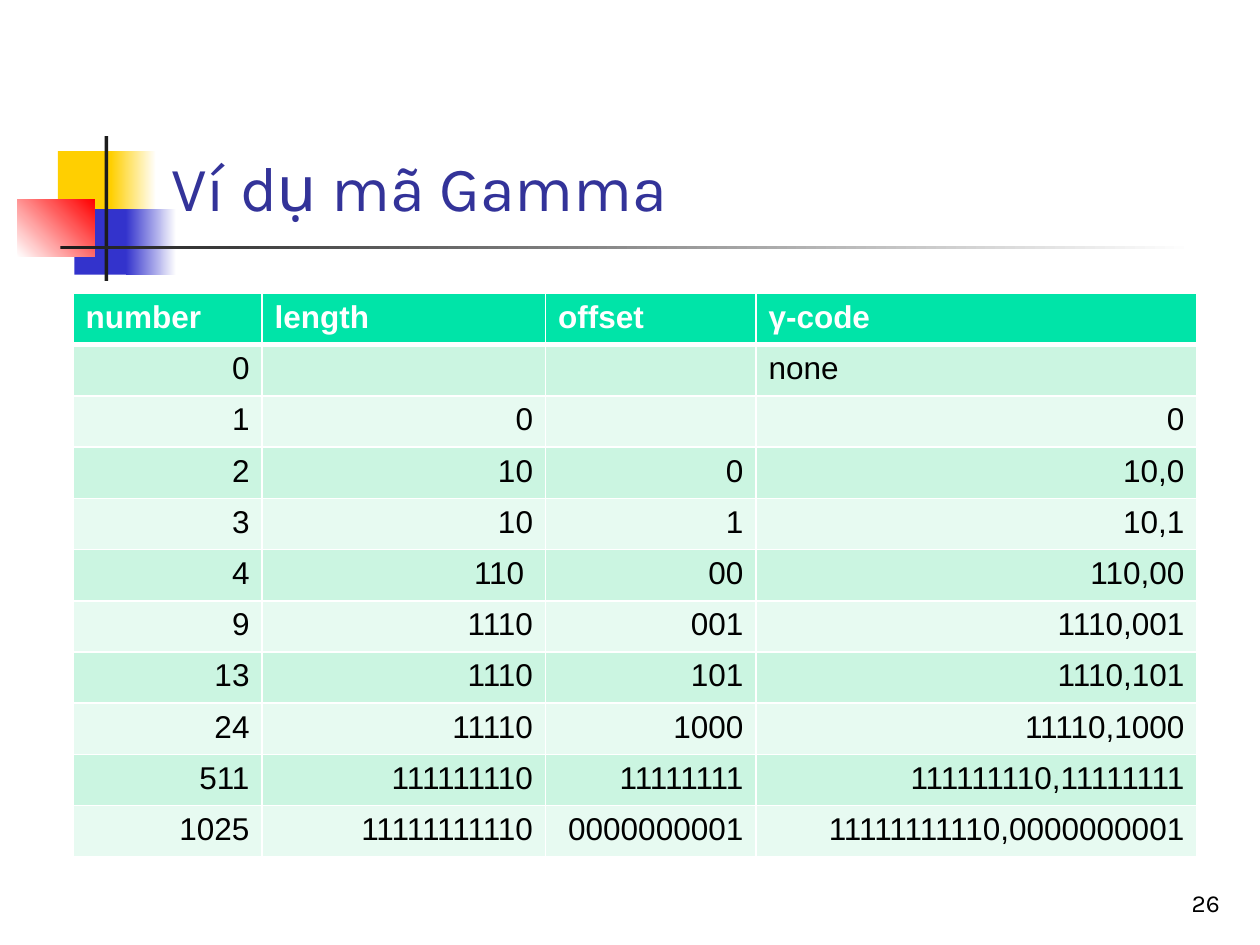
from typing import NamedTuple

import pptx
import pptx.dml.color
import pptx.enum.shapes
import pptx.enum.text
import pptx.oxml
import pptx.oxml.ns
import pptx.util

ALIGN = pptx.enum.text.PP_ALIGN
ANCHOR = pptx.enum.text.MSO_ANCHOR
SLIDE_WIDTH = pptx.util.Inches(10)
SLIDE_HEIGHT = pptx.util.Inches(7.5)

WHITE, BLACK, INK = "FFFFFF", "000000", "1C1C1C"
YELLOW, BLUE, RED, TITLE_BLUE = "FFCF01", "3333CC", "FF0000", "333399"
HEADER_FILL = "00E4A8"
BAND_FILLS = ("E7FAF1", "CBF5E1")


class Area(NamedTuple):
    """Left, top, width and height as percentages of the slide."""
    left: float
    top: float
    width: float
    height: float

    def lengths(self) -> list[int]:
        sides = (SLIDE_WIDTH, SLIDE_HEIGHT) * 2
        return [round(share * side / 100) for share, side in zip(self, sides)]


class Block(NamedTuple):
    """A decorative rectangle; a second colour makes it a gradient."""
    area: Area
    start: str
    end: str | None = None
    angle: float = 0


BLOCKS = [
    Block(Area(4.6, 16, 4.8, 6.93), YELLOW),
    Block(Area(8.8, 16, 3.6, 6.93), YELLOW, WHITE),
    Block(Area(5.9, 22.13, 4.6, 6.93), BLUE),
    Block(Area(10, 22.13, 4, 6.93), BLUE, WHITE),
    Block(Area(1.4, 21.07, 6.1, 6.13), WHITE, RED, 45),
    Block(Area(8.3, 14.4, 0.3, 15.33), INK),
    Block(Area(4.8, 26, 90, 0.4), INK, WHITE),
]

TABLE_AREA = Area(5.8, 31.07, 89.2, 59.6)
COLUMN_SHARES = (15, 22.5, 16.7, 35)
ROWS = [
    ("number", "length", "offset", "γ-code"),
    ("0", "", "", "none"),
    ("1", "0", "", "0"),
    ("2", "10", "0", "10,0"),
    ("3", "10", "1", "10,1"),
    ("4", "110 ", "00", "110,00"),
    ("9", "1110", "001", "1110,001"),
    ("13", "1110", "101", "1110,101"),
    ("24", "11110", "1000", "11110,1000"),
    ("511", "111111110", "11111111", "111111110,11111111"),
    ("1025", "11111111110", "0000000001", "11111111110,0000000001"),
]


def colour(value: str) -> pptx.dml.color.RGBColor:
    return pptx.dml.color.RGBColor.from_string(value)


def write(frame, text: str, *, size: float, font: str, ink: str = BLACK,
          bold: bool = False, align=ALIGN.LEFT) -> None:
    para = frame.paragraphs[0]
    para.alignment = align
    para.font.size = pptx.util.Pt(size)
    if text:
        span = para.add_run()
        span.text = text
        span.font.size = pptx.util.Pt(size)
        span.font.name = font
        span.font.bold = bold
        span.font.color.rgb = colour(ink)


def add_text(page, area: Area, text: str, **text_format) -> None:
    frame = page.shapes.add_textbox(*area.lengths()).text_frame
    frame.word_wrap = True
    frame.vertical_anchor = ANCHOR.BOTTOM
    write(frame, text, font="Karla", **text_format)


def add_block(page, block: Block) -> None:
    kind = pptx.enum.shapes.MSO_SHAPE.RECTANGLE
    box = page.shapes.add_shape(kind, *block.area.lengths())
    box.shadow.inherit = False
    box.line.fill.background()
    if block.end is None:
        box.fill.solid()
        box.fill.fore_color.rgb = colour(block.start)
        return
    box.fill.gradient()
    box.fill.gradient_angle = block.angle
    for stop, value in zip(box.fill.gradient_stops, (block.start, block.end)):
        stop.color.rgb = colour(value)


def set_borders(cell, **widths: float) -> None:
    """Draw white borders; the widths in points are given as L, R, T, B."""
    properties = cell._tc.get_or_add_tcPr()
    for side, width in widths.items():
        properties.append(pptx.oxml.parse_xml(
            f'<a:ln{side} {pptx.oxml.ns.nsdecls("a")} w="{pptx.util.Pt(width)}">'
            f'<a:solidFill><a:srgbClr val="{WHITE}"/></a:solidFill></a:ln{side}>'))


def add_code_table(page) -> None:
    table = page.shapes.add_table(len(ROWS), len(COLUMN_SHARES),
                                  *TABLE_AREA.lengths()).table
    for column, share in zip(table.columns, COLUMN_SHARES):
        column.width = round(SLIDE_WIDTH * share / 100)
    for row, texts in enumerate(ROWS):
        header = row == 0
        for column, text in enumerate(texts):
            cell = table.cell(row, column)
            # A thick rule separates the header from the body
            set_borders(cell, L=1, R=1, T=3 if row == 1 else 1, B=3 if header else 1)
            cell.fill.solid()
            cell.fill.fore_color.rgb = colour(HEADER_FILL if header else BAND_FILLS[row % 2])
            left = header or text == "none"
            write(cell.text_frame, text, size=18, font="Arial", bold=header,
                  ink=WHITE if header else BLACK,
                  align=ALIGN.LEFT if left else ALIGN.RIGHT)


def main() -> None:
    deck = pptx.Presentation()
    deck.slide_width, deck.slide_height = SLIDE_WIDTH, SLIDE_HEIGHT
    page = deck.slides.add_slide(deck.slide_layouts[6])

    # Corner ornament and title rule
    for block in BLOCKS:
        add_block(page, block)

    # Page number and title
    add_text(page, Area(77, 91.07, 20.8, 6.67), "26", size=14, align=ALIGN.RIGHT)
    add_text(page, Area(12.6, 5.87, 85.2, 18.53), "Ví dụ mã Gamma",
             size=36, ink=TITLE_BLUE)

    # Gamma codes
    add_code_table(page)
    deck.save("out.pptx")


if __name__ == "__main__":
    main()
